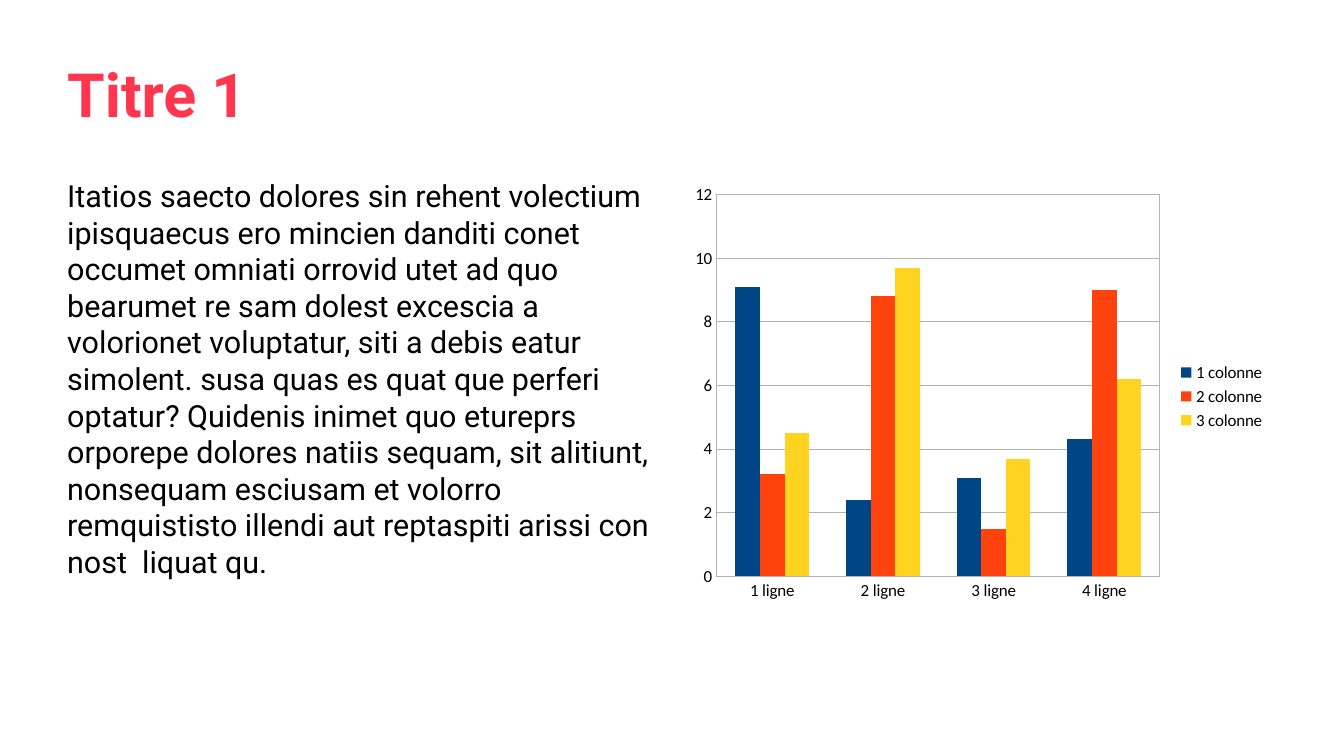
from dataclasses import dataclass

import lxml.etree
import pptx
import pptx.chart.data
import pptx.dml.color
import pptx.enum.chart
import pptx.enum.text
import pptx.oxml
import pptx.oxml.ns
import pptx.util

Cm = pptx.util.Cm
Pt = pptx.util.Pt


def rgb(value):
    return pptx.dml.color.RGBColor.from_string(value)


def apply_format(target, values):
    for name, value in values.items():
        setattr(target, name, value)


@dataclass(frozen=True)
class Theme:
    text_font: str = "Roboto"
    chart_font: str = "Calibri"
    accent: str = "FF364D"
    text: str = "000000"
    grid: str = "B3B3B3"
    series: tuple = ("004586", "FF420E", "FFD320")
    title_size: float = 36
    body_size: float = 18
    chart_size: float = 10
    line_width: float = 0.5


class SlideBuilder:
    def __init__(self, presentation, theme):
        self.theme = theme
        self.slide = presentation.slides.add_slide(presentation.slide_layouts[1])

    def style_font(self, font, name, size, color, bold=False):
        apply_format(font, {"name": name, "size": Pt(size), "bold": bold})
        font.color.rgb = rgb(color)

    def style_line(self, line):
        line.color.rgb = rgb(self.theme.grid)
        line.width = Pt(self.theme.line_width)

    def fill_placeholder(self, shape, box, text, anchor, font_values):
        """Place a placeholder and give it one left-aligned, unbulleted paragraph."""
        apply_format(shape, dict(zip(("left", "top", "width", "height"), box)))
        frame = shape.text_frame
        frame.text = text
        margins = dict.fromkeys(
            ("margin_left", "margin_top", "margin_right", "margin_bottom"), 0)
        apply_format(frame, {
            **margins,
            "word_wrap": True,
            "vertical_anchor": anchor,
            "auto_size": pptx.enum.text.MSO_AUTO_SIZE.NONE,
        })
        paragraph = frame.paragraphs[0]
        apply_format(paragraph, {
            "alignment": pptx.enum.text.PP_ALIGN.LEFT,
            "space_before": Pt(0),
            "line_spacing": 1.0,
        })
        properties = paragraph._p.get_or_add_pPr()
        properties.set("marL", "0")
        properties.set("indent", "0")
        lxml.etree.SubElement(properties, pptx.oxml.ns.qn("a:buNone"))
        self.style_font(paragraph.runs[0].font, self.theme.text_font, *font_values)

    def title(self, text, box):
        self.fill_placeholder(
            self.slide.shapes.title, box, text, pptx.enum.text.MSO_ANCHOR.MIDDLE,
            (self.theme.title_size, self.theme.accent, True))

    def body(self, text, box):
        self.fill_placeholder(
            self.slide.placeholders[1], box, text, pptx.enum.text.MSO_ANCHOR.TOP,
            (self.theme.body_size, self.theme.text))

    def column_chart(self, categories, series, box, plot_box):
        theme = self.theme
        chart_enum = pptx.enum.chart
        data = pptx.chart.data.CategoryChartData()
        data.categories = categories
        for name, values in series.items():
            data.add_series(name, values)
        chart = self.slide.shapes.add_chart(
            chart_enum.XL_CHART_TYPE.COLUMN_CLUSTERED, *box, data).chart
        apply_format(chart, {"has_title": False, "has_legend": True})
        apply_format(chart.legend, {
            "position": chart_enum.XL_LEGEND_POSITION.RIGHT,
            "include_in_layout": False,
        })
        apply_format(chart.plots[0], {
            "gap_width": 150, "overlap": 0, "vary_by_categories": False})
        for column, color in zip(chart.plots[0].series, theme.series):
            column.format.fill.solid()
            column.format.fill.fore_color.rgb = rgb(color)
        for axis in (chart.category_axis, chart.value_axis):
            apply_format(axis, {
                "major_tick_mark": chart_enum.XL_TICK_MARK.NONE,
                "minor_tick_mark": chart_enum.XL_TICK_MARK.NONE,
            })
            self.style_line(axis.format.line)
        apply_format(chart.value_axis, {
            "minimum_scale": 0, "maximum_scale": 12, "major_unit": 2,
            "has_major_gridlines": True,
        })
        self.style_line(chart.value_axis.major_gridlines.format.line)
        for part in (chart, chart.legend, chart.category_axis.tick_labels,
                     chart.value_axis.tick_labels):
            self.style_font(part.font, theme.chart_font, theme.chart_size, theme.text)
        self.frame_plot(chart, plot_box)

    def frame_plot(self, chart, plot_box):
        """Fix the inner plot area, in fractions of the chart, and outline it."""
        namespaces = pptx.oxml.ns.nsdecls("c", "a")
        plot_area = chart._chartSpace.chart.plotArea
        for layout in plot_area.findall(pptx.oxml.ns.qn("c:layout")):
            plot_area.remove(layout)
        places = "".join(
            f'<c:{name} val="{value}"/>' for name, value in zip("xywh", plot_box))
        plot_area.insert(0, pptx.oxml.parse_xml(
            f'<c:layout {namespaces}><c:manualLayout><c:layoutTarget val="inner"/>'
            f'<c:xMode val="edge"/><c:yMode val="edge"/>{places}'
            '</c:manualLayout></c:layout>'))
        plot_area.append(pptx.oxml.parse_xml(
            f'<c:spPr {namespaces}><a:noFill/>'
            f'<a:ln w="{Pt(self.theme.line_width)}"><a:solidFill>'
            f'<a:srgbClr val="{self.theme.grid}"/></a:solidFill></a:ln></c:spPr>'))


def main():
    presentation = pptx.Presentation()
    apply_format(presentation, {"slide_width": Cm(28), "slide_height": Cm(15.75)})
    builder = SlideBuilder(presentation, Theme())
    left, top, width, height = Cm(1.4), Cm(3.69), Cm(12.3), Cm(9.14)
    builder.title("Titre 1", (left, Cm(0.63), Cm(25.2), Cm(2.63)))
    builder.body(
        "Itatios saecto dolores sin rehent volectium ipisquaecus ero mincien "
        "danditi conet occumet omniati orrovid utet ad quo bearumet re sam dolest "
        "excescia a volorionet voluptatur, siti a debis eatur simolent. susa quas "
        "es quat que perferi optatur? Quidenis inimet quo etureprs orporepe dolores "
        "natiis sequam, sit alitiunt, nonsequam esciusam et volorro remquististo "
        "illendi aut reptaspiti arissi con nost  liquat qu.",
        (left, top, width, height))
    builder.column_chart(
        [f"{number} ligne" for number in range(1, 5)],
        {
            "1 colonne": (9.1, 2.4, 3.1, 4.3),
            "2 colonne": (3.2, 8.8, 1.5, 9),
            "3 colonne": (4.5, 9.7, 3.7, 6.2),
        },
        (Cm(14.32), top, width, height),
        (0.05, 0.04, 0.75, 0.87))
    presentation.save("out.pptx")


if __name__ == "__main__":
    main()
